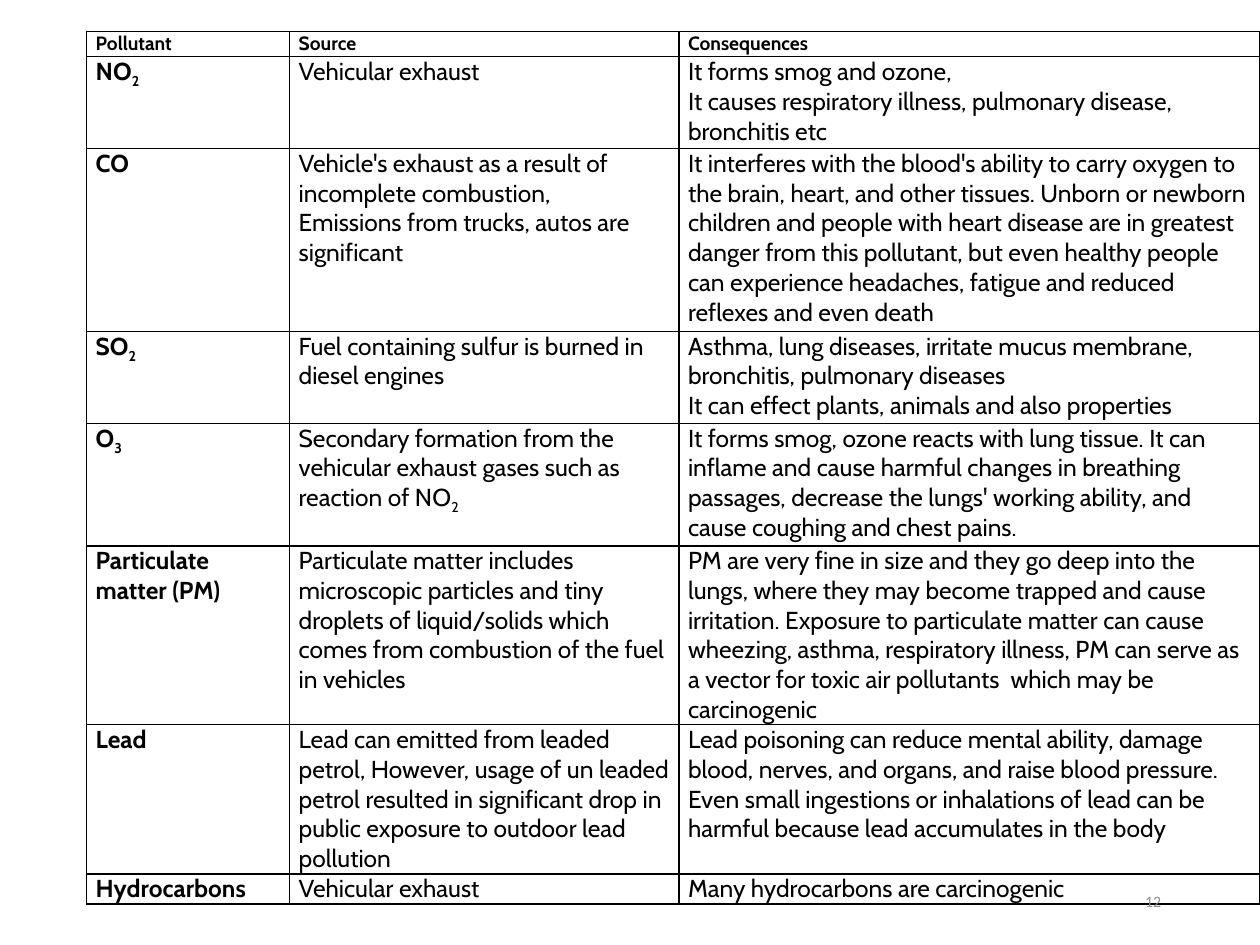
"""Build a slide with a table of vehicle pollutants, their sources and consequences."""
from dataclasses import dataclass

from lxml import etree
from pptx import Presentation
from pptx.dml.color import RGBColor
from pptx.enum import text
from pptx.oxml import ns
from pptx.util import Pt


@dataclass(frozen=True)
class Theme:
    ink: str = "000000"
    muted: str = "8C8C8C"
    table_font: str = "Cabin"
    number_font: str = "Calibri"
    header_size: float = 11
    body_size: float = 14
    number_size: float = 9
    border: float = 1


theme = Theme()


def add_span(para, wording, font, size, color, bold=False):
    span = para.add_run()
    span.text = wording
    span.font.name = font
    span.font.size = Pt(size)
    span.font.bold = bold
    span.font.color.rgb = RGBColor.from_string(color)
    return span


def add_borders(cell):
    properties = cell._tc.get_or_add_tcPr()
    for position, side in enumerate(("lnL", "lnR", "lnT", "lnB")):
        line = etree.Element(ns.qn(f"a:{side}"), w=str(Pt(theme.border)))
        fill = etree.SubElement(line, ns.qn("a:solidFill"))
        etree.SubElement(fill, ns.qn("a:srgbClr"), val=theme.ink)
        properties.insert(position, line)


column_widths = [116, 222.5, 332]
row_heights = [14.4, 52.5, 104.5, 52.5, 70, 102, 85, 17.3]
pollutants = [
    ("Pollutant", "Source", "Consequences"),
    (
        "NO_2",
        "Vehicular exhaust",
        "It forms smog and ozone,\n"
        "It causes respiratory illness, pulmonary disease, bronchitis etc",
    ),
    (
        "CO",
        "Vehicle's exhaust as a result of incomplete combustion,\n"
        "Emissions from trucks, autos are significant",
        "It interferes with the blood's ability to carry oxygen to the brain, heart, "
        "and other tissues. Unborn or newborn children and people with heart disease "
        "are in greatest danger from this pollutant, but even healthy people can "
        "experience headaches, fatigue and reduced reflexes and even death",
    ),
    (
        "SO_2",
        "Fuel containing sulfur is burned in diesel engines",
        "Asthma, lung diseases, irritate mucus membrane, bronchitis, pulmonary diseases\n"
        "It can effect plants, animals and also properties",
    ),
    (
        "O_3",
        "Secondary formation from the vehicular exhaust gases such as reaction of NO_2",
        "It forms smog, ozone reacts with lung tissue. It can inflame and cause harmful "
        "changes in breathing passages, decrease the lungs' working ability, and cause "
        "coughing and chest pains.",
    ),
    (
        "Particulate matter (PM)",
        "Particulate matter includes microscopic particles and tiny droplets of "
        "liquid/solids which comes from combustion of the fuel in vehicles",
        "PM are very fine in size and they go deep into the lungs, where they may become "
        "trapped and cause irritation. Exposure to particulate matter can cause wheezing, "
        "asthma, respiratory illness, PM can serve as a vector for toxic air pollutants  "
        "which may be carcinogenic",
    ),
    (
        "Lead",
        "Lead can emitted from leaded petrol, However, usage of un leaded petrol resulted "
        "in significant drop in public exposure to outdoor lead pollution",
        "Lead poisoning can reduce mental ability, damage blood, nerves, and organs, and "
        "raise blood pressure. Even small ingestions or inhalations of lead can be harmful "
        "because lead accumulates in the body",
    ),
    ("Hydrocarbons", "Vehicular exhaust", "Many hydrocarbons are carcinogenic"),
]

deck = Presentation()
deck.slide_width, deck.slide_height = Pt(720), Pt(540)
page = deck.slides.add_slide(deck.slide_layouts[6])

table = page.shapes.add_table(
    len(row_heights), len(column_widths),
    Pt(49.5), Pt(18), Pt(sum(column_widths)), Pt(sum(row_heights)),
).table
for column, width in zip(table.columns, column_widths):
    column.width = Pt(width)
for row, height in zip(table.rows, row_heights):
    row.height = Pt(height)

for row_index, entries in enumerate(pollutants):
    size = theme.body_size if row_index else theme.header_size
    for column_index, entry in enumerate(entries):
        cell = table.cell(row_index, column_index)
        cell.margin_left = cell.margin_right = Pt(5.2)
        cell.margin_top = cell.margin_bottom = 0
        cell.fill.background()
        add_borders(cell)
        bold = row_index == 0 or column_index == 0
        for line_index, wording in enumerate(entry.split("\n")):
            frame = cell.text_frame
            para = frame.add_paragraph() if line_index else frame.paragraphs[0]
            for part_index, part in enumerate(wording.split("_")):
                span = add_span(para, part, theme.table_font, size, theme.ink, bold)
                if part_index:
                    span._r.get_or_add_rPr().set("baseline", "-25000")

number_box = page.shapes.add_textbox(Pt(508.5), Pt(500.5), Pt(162), Pt(28.75))
number_box.text_frame.word_wrap = True
number_box.text_frame.vertical_anchor = text.MSO_ANCHOR.MIDDLE
para = number_box.text_frame.paragraphs[0]
para.alignment = text.PP_ALIGN.RIGHT
add_span(para, "12", theme.number_font, theme.number_size, theme.muted)

deck.save("out.pptx")
